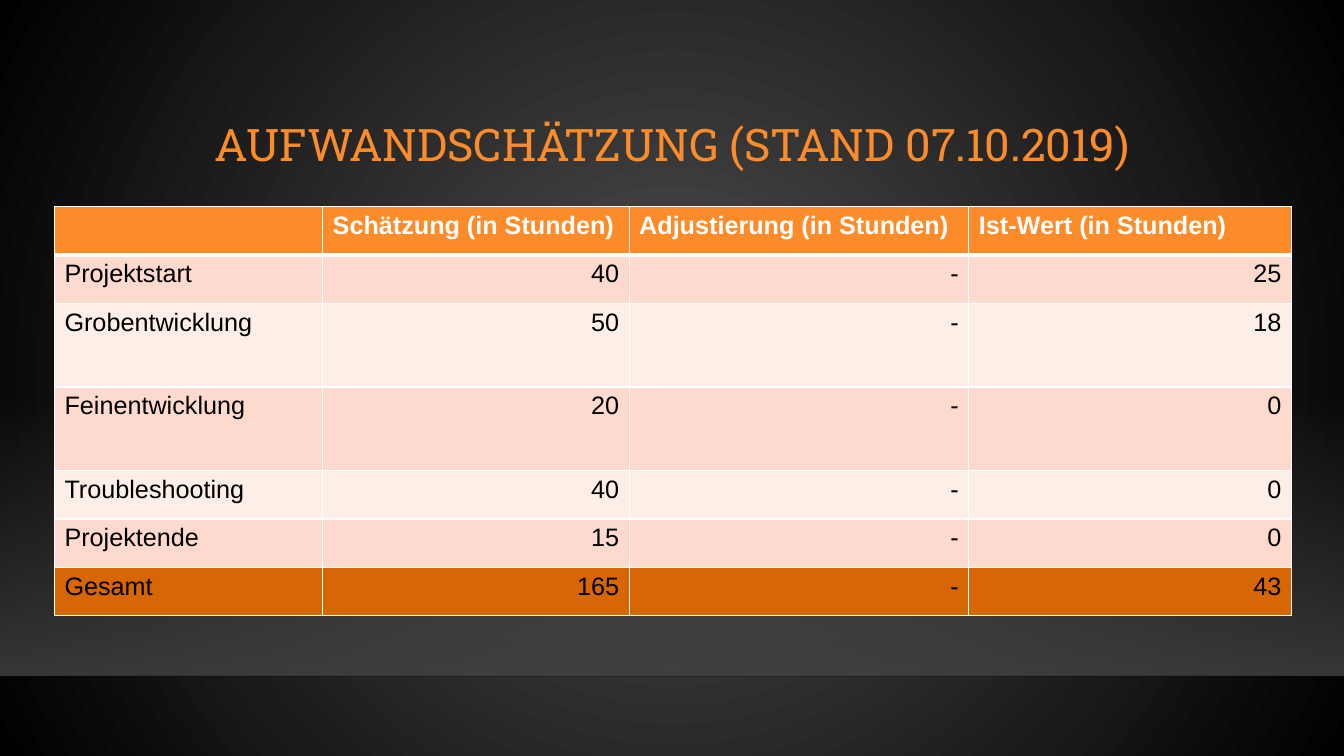
from dataclasses import dataclass
from typing import NamedTuple

from pptx import Presentation
from pptx.dml.color import RGBColor
from pptx.enum.shapes import MSO_CONNECTOR, MSO_SHAPE
from pptx.enum.text import MSO_ANCHOR, PP_ALIGN
from pptx.oxml import parse_xml
from pptx.oxml.ns import nsdecls, qn
from pptx.util import Inches, Pt


@dataclass(frozen=True)
class Theme:
    glow: str = "505050"
    black: str = "000000"
    floor: str = "454545"
    edge: str = "000001"
    white: str = "FFFFFF"
    orange: str = "FB8C29"
    total: str = "D76704"
    bands: tuple = ("FDDACD", "FEEEE8")
    head: str = "Roboto Slab"
    body: str = "Arial"
    big: int = 32
    text: int = 18
    thin: int = 1
    thick: int = 3


class Stop(NamedTuple):
    place: int
    color: str
    alpha: int = 100


class Effort(NamedTuple):
    phase: str
    plan: str
    adjust: str
    actual: str
    high: float = 0.48


THEME = Theme()
WIDE, HIGH = 13.33, 7.5
LEVEL = 6.71
COLS = (2.66, 3.04, 3.37, 3.2)
ROWS = (
    Effort("", "Schätzung (in Stunden)", "Adjustierung (in Stunden)", "Ist-Wert (in Stunden)"),
    Effort("Projektstart", "40", "-", "25"),
    Effort("Grobentwicklung", "50", "-", "18", 0.83),
    Effort("Feinentwicklung", "20", "-", "0", 0.83),
    Effort("Troubleshooting", "40", "-", "0"),
    Effort("Projektende", "15", "-", "0"),
    Effort("Gesamt", "165", "-", "43"),
)


def tint(color: str, alpha: int = 100) -> str:
    return f'<a:srgbClr val="{color}"><a:alpha val="{alpha * 1000}"/></a:srgbClr>'


def blend(owner, stops: list[Stop], course: str) -> None:
    marks = "".join(f'<a:gs pos="{s.place * 1000}">{tint(s.color, s.alpha)}</a:gs>' for s in stops)
    fill = parse_xml(f'<a:gradFill {nsdecls("a")} rotWithShape="1">'
                     f"<a:gsLst>{marks}</a:gsLst>{course}</a:gradFill>")
    owner.replace(owner.find(qn("a:solidFill")), fill)


def write(frame, text: str, font: str, size: int, color: str, align, bold: bool = False) -> None:
    para = frame.paragraphs[0]
    para.alignment = align
    run = para.add_run()
    run.text = text
    run.font.name = font
    run.font.size = Pt(size)
    run.font.bold = bold
    run.font.color.rgb = RGBColor.from_string(color)


def border(cell, top: int, base: int) -> None:
    sides = {"lnL": THEME.thin, "lnR": THEME.thin, "lnT": top, "lnB": base}
    props = cell.fill._xPr
    for spot, (side, width) in enumerate(sides.items()):
        props.insert(spot, parse_xml(
            f'<a:{side} {nsdecls("a")} w="{Pt(width)}">'
            f"<a:solidFill>{tint(THEME.white)}</a:solidFill></a:{side}>"))


def scene(slide) -> None:
    slide.background.fill.solid()
    blend(slide.element.find(".//" + qn("p:bgPr")),
          [Stop(0, THEME.glow), Stop(100, THEME.black)],
          '<a:path path="circle"><a:fillToRect l="50000" t="50000" r="50000" b="50000"/></a:path>')
    floor = slide.shapes.add_shape(
        MSO_SHAPE.RECTANGLE, 0, Inches(3.96), Inches(WIDE), Inches(2.74))
    floor.shadow.inherit = False
    floor.line.fill.background()
    floor.fill.solid()
    blend(floor.element.spPr, [Stop(0, THEME.floor, 0), Stop(100, THEME.floor, 80)],
          '<a:lin ang="5400000" scaled="0"/>')
    edge = slide.shapes.add_connector(
        MSO_CONNECTOR.STRAIGHT, 0, Inches(LEVEL), Inches(WIDE), Inches(LEVEL))
    edge.line.width = Pt(THEME.thin)
    edge.line.color.rgb = RGBColor.from_string(THEME.edge)
    color = edge.element.find(".//" + qn("a:srgbClr"))
    color.append(parse_xml(f'<a:alpha {nsdecls("a")} val="20000"/>'))
    edge.element.spPr.append(parse_xml(f'<a:effectLst {nsdecls("a")}/>'))


def title(slide, text: str) -> None:
    box = slide.shapes.add_textbox(Inches(1.59), Inches(0.88), Inches(10.16), Inches(1.15))
    frame = box.text_frame
    frame.word_wrap = True
    frame.vertical_anchor = MSO_ANCHOR.MIDDLE
    write(frame, text, THEME.head, THEME.big, THEME.orange, PP_ALIGN.CENTER)
    frame.paragraphs[0].line_spacing = 0.9


def shade(row: int) -> str:
    if row == 0:
        return THEME.orange
    if row == len(ROWS) - 1:
        return THEME.total
    return THEME.bands[(row - 1) % 2]


def efforts(slide) -> None:
    table = slide.shapes.add_table(
        len(ROWS), len(COLS), Inches(0.54), Inches(2.05),
        Inches(sum(COLS)), Inches(sum(row.high for row in ROWS))).table
    table.first_row = table.horz_banding = False
    for col, wide in enumerate(COLS):
        table.columns[col].width = Inches(wide)
    for row, item in enumerate(ROWS):
        table.rows[row].height = Inches(item.high)
        head = row == 0
        for col, text in enumerate(item[:len(COLS)]):
            cell = table.cell(row, col)
            cell.fill.solid()
            cell.fill.fore_color.rgb = RGBColor.from_string(shade(row))
            border(cell, THEME.thick if row == 1 else THEME.thin,
                   THEME.thick if head else THEME.thin)
            if text:
                write(cell.text_frame, text, THEME.body, THEME.text,
                      THEME.white if head else THEME.black,
                      PP_ALIGN.LEFT if head or col == 0 else PP_ALIGN.RIGHT, head)


def main() -> None:
    deck = Presentation()
    deck.slide_width, deck.slide_height = Inches(WIDE), Inches(HIGH)
    slide = deck.slides.add_slide(deck.slide_layouts[6])
    scene(slide)
    title(slide, "AUFWANDSCHÄTZUNG (STAND 07.10.2019)")
    efforts(slide)
    deck.save("out.pptx")


main()
